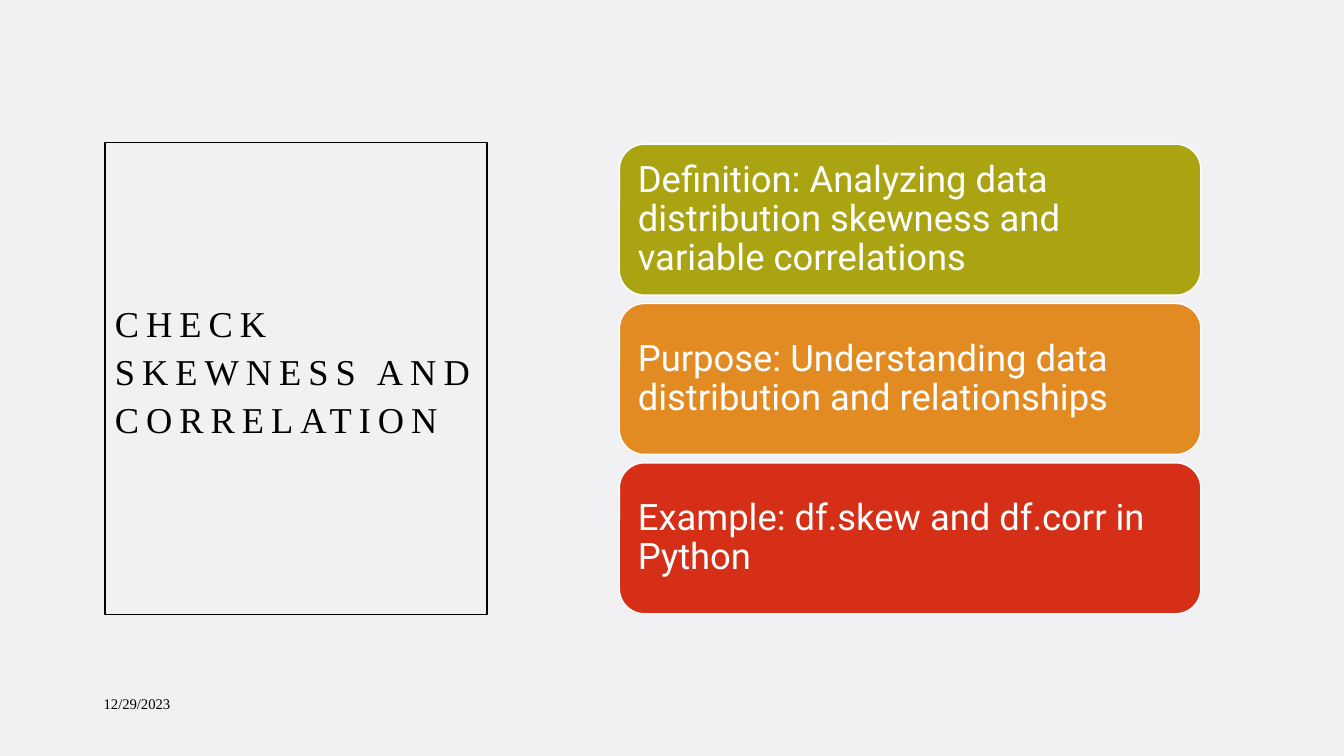
from pptx import Presentation
from pptx.dml.color import RGBColor
from pptx.enum.shapes import MSO_SHAPE
from pptx.enum.text import MSO_ANCHOR, PP_ALIGN
from pptx.util import Pt


def color(value):
    return RGBColor.from_string(value)


def write(shape, text, size, font_name, font_color, anchor):
    frame = shape.text_frame
    frame.word_wrap = True
    frame.vertical_anchor = anchor
    paragraph = frame.paragraphs[0]
    paragraph.text = text
    paragraph.alignment = PP_ALIGN.LEFT
    paragraph.font.size = Pt(size)
    paragraph.font.name = font_name
    paragraph.font.color.rgb = color(font_color)
    return paragraph


presentation = Presentation()
presentation.slide_width = Pt(960)
presentation.slide_height = Pt(540)
slide = presentation.slides.add_slide(presentation.slide_layouts[6])
slide.background.fill.solid()
slide.background.fill.fore_color.rgb = color("F1F0F3")

title_frame = slide.shapes.add_shape(
    MSO_SHAPE.RECTANGLE, Pt(75), Pt(102), Pt(273), Pt(337))
title_frame.shadow.inherit = False
title_frame.fill.background()
title_frame.line.color.rgb = color("000000")
title_frame.line.width = Pt(1)

title = slide.shapes.add_textbox(Pt(75), Pt(203), Pt(273), Pt(115.2))
paragraph = write(title, "CHECK SKEWNESS AND CORRELATION", 26,
                  "Times New Roman", "000000", MSO_ANCHOR.BOTTOM)
paragraph.line_spacing = 1.1
paragraph.runs[0].font._element.set("spc", "500")

date = slide.shapes.add_textbox(Pt(67), Pt(488.2), Pt(216), Pt(28.8))
paragraph = write(date, "12/29/2023", 10.5, "Times New Roman", "000000",
                  MSO_ANCHOR.MIDDLE)
paragraph.space_after = Pt(6)

cards = [
    ("Definition: Analyzing data distribution skewness and variable correlations", "AAA412"),
    ("Purpose: Understanding data distribution and relationships", "E28B23"),
    ("Example: df.skew and df.corr in Python", "D52F17"),
]
for index, (text, fill) in enumerate(cards):
    card = slide.shapes.add_shape(
        MSO_SHAPE.ROUNDED_RECTANGLE,
        Pt(442.4), Pt(103 + index * 113.8), Pt(415.4), Pt(107.8))
    card.shadow.inherit = False
    card.fill.solid()
    card.fill.fore_color.rgb = color(fill)
    card.line.color.rgb = color("FFFFFF")
    card.line.width = Pt(1)
    frame = card.text_frame
    frame.margin_left = frame.margin_right = Pt(8)
    frame.margin_top = frame.margin_bottom = Pt(8)
    paragraph = write(card, text, 26, "Roboto", "FFFFFF", MSO_ANCHOR.MIDDLE)
    paragraph.line_spacing = 0.9

presentation.save("out.pptx")
